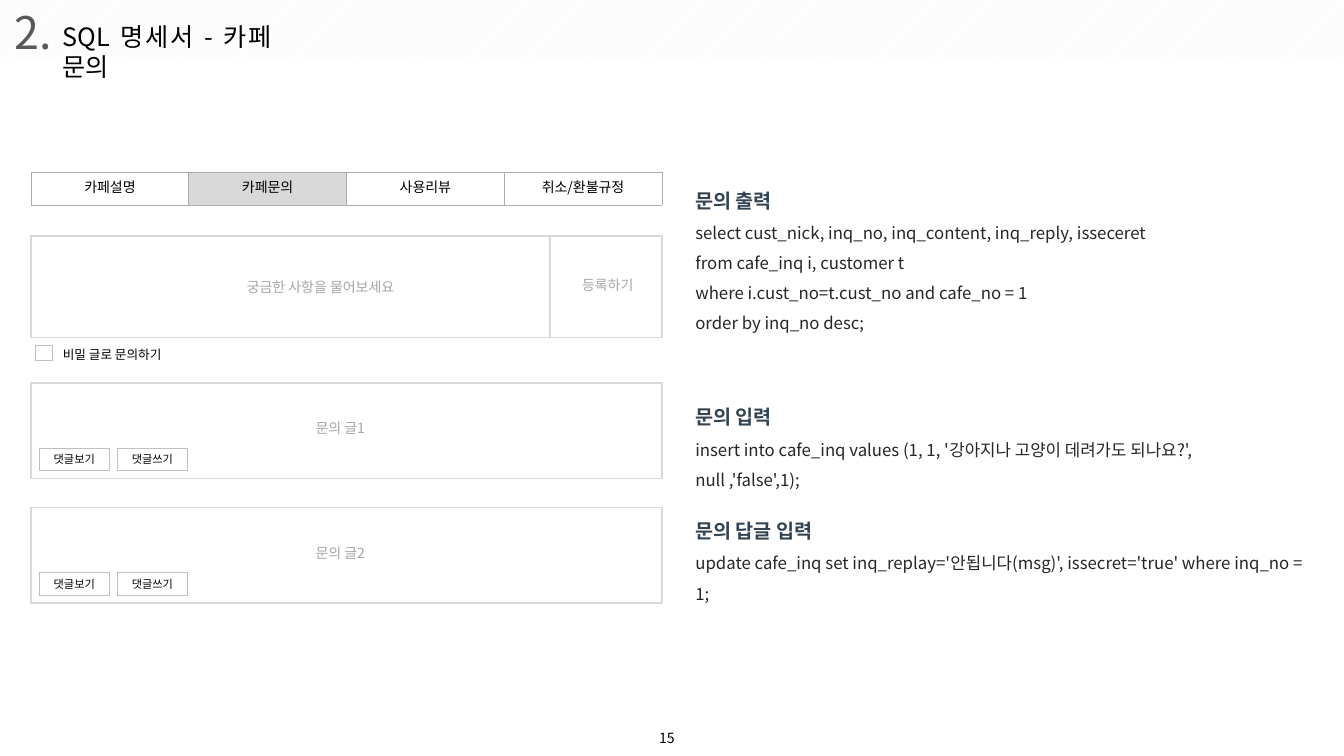
from lxml import etree
from pptx import Presentation
from pptx import util as u
from pptx.dml.color import RGBColor
from pptx.enum import dml, shapes, text
from pptx.oxml.ns import qn

FONT = "Noto Sans CJK KR"
COLORS = {
    "black": "000000", "number": "595959", "heading": "324353", "sql": "262626",
    "hint": "A6A6A6", "frame": "D9D9D9", "button": "BFBFBF", "table": "AFABAB",
    "active": "D9D9D9", "white": "FFFFFF", "stripe": "F2F2F2",
}
COLUMNS, ROWS = 160, 90
CELL = u.Inches(1 / 12)
LEFT, CENTER, RIGHT, JUSTIFY = (
    text.PP_ALIGN.LEFT, text.PP_ALIGN.CENTER, text.PP_ALIGN.RIGHT, text.PP_ALIGN.JUSTIFY)
TOP, MIDDLE = text.MSO_ANCHOR.TOP, text.MSO_ANCHOR.MIDDLE


def color(name):
    return RGBColor.from_string(COLORS[name])


def cells(*lengths):
    """Turn grid columns and rows into slide lengths."""
    return [u.Emu(round(length * CELL)) for length in lengths]


def write(frame, words, size=10, ink="black", bold=False, align=LEFT,
          anchor=TOP, leading=1.0, wrap=True):
    frame.word_wrap = wrap
    frame.auto_size = text.MSO_AUTO_SIZE.NONE
    frame.vertical_anchor = anchor
    for index, line in enumerate(words.split("\n")):
        paragraph = frame.paragraphs[0] if index == 0 else frame.add_paragraph()
        paragraph.alignment = align
        paragraph.line_spacing = u.Pt(round(size * 1.2 * leading, 1))
        run = paragraph.add_run()
        run.text = line
        run.font.size = u.Pt(size)
        run.font.bold = bold
        run.font.color.rgb = color(ink)
        run.font.name = FONT
        etree.SubElement(run.font._element, qn("a:ea"), typeface=FONT)


def label(slide, box, words, **style):
    write(slide.shapes.add_textbox(*cells(*box)).text_frame, words, **style)


def rectangle(slide, box, line=None, width=1.0):
    shape = slide.shapes.add_shape(shapes.MSO_SHAPE.RECTANGLE, *cells(*box))
    shape.shadow.inherit = False
    shape.fill.background()
    if line:
        shape.line.color.rgb = color(line)
        shape.line.width = u.Pt(width)
    else:
        shape.line.fill.background()
    return shape


def header(slide, box, number, words):
    x, y, width, height = box
    banner = rectangle(slide, box)
    banner.fill.patterned()
    banner.fill.pattern = dml.MSO_PATTERN.DARK_UPWARD_DIAGONAL
    banner.fill.fore_color.rgb = color("stripe")
    banner.fill.back_color.rgb = color("white")
    title = slide.shapes.title
    slide.shapes._spTree.append(title._element)
    title.left, title.top, title.width, title.height = cells(x + 6.25, y + 1.9, 27.3, 8)
    write(title.text_frame, words, size=18, align=JUSTIFY)
    label(slide, (x + 0.6, y, 8.4, 7.7), number, size=32, ink="number", wrap=False)


def tabs(slide, box, names, active):
    x, y, width, height = box
    grid = slide.shapes.add_table(1, len(names), *cells(*box)).table
    grid.first_row = grid.horz_banding = False
    for index, name in enumerate(names):
        grid.columns[index].width = cells(width / len(names))[0]
        cell = grid.cell(0, index)
        properties = cell._tc.get_or_add_tcPr()
        for side in ("lnL", "lnR", "lnT", "lnB"):
            border = etree.SubElement(properties, qn(f"a:{side}"), w=str(u.Pt(0.5)))
            fill = etree.SubElement(border, qn("a:solidFill"))
            etree.SubElement(fill, qn("a:srgbClr"), val=COLORS["table"])
        cell.fill.solid()
        cell.fill.fore_color.rgb = color("active" if name == active else "white")
        write(cell.text_frame, name, align=CENTER)
        cell.vertical_anchor = MIDDLE


def inquiry_form(slide, box):
    x, y, width, height = box
    submit = 13.3
    rectangle(slide, box, "frame")
    rectangle(slide, (x + width - submit, y, submit, height), "frame")
    label(slide, (x + 23.4, y + 4.5, 22.1, 3.2), "궁금한 사항을 물어보세요",
          ink="hint", align=CENTER, wrap=False)
    label(slide, (x + 64.1, y + 4.2, 9.1, 3.2), "등록하기",
          ink="hint", align=CENTER, wrap=False)
    rectangle(slide, (x + 0.5, y + height + 0.85, 2.05, 1.8), "button", 0.25)
    label(slide, (x + 2.6, y + height + 0.5, 16.5, 3), "비밀 글로 문의하기", size=9)


def post(slide, box, words):
    x, y, width, height = box
    rectangle(slide, box, "frame")
    label(slide, (x + 32.3, y + 3.8, 9, 3.2), words,
          ink="hint", align=CENTER, wrap=False)
    for index, action in enumerate(("댓글보기", "댓글쓰기")):
        button = rectangle(slide, (x + 1 + 9.3 * index, y + 7.75, 8.3, 2.65), "button", 0.25)
        write(button.text_frame, action, size=8, align=CENTER, anchor=MIDDLE)


def query(slide, box, heading, sql):
    x, y, width, height = box
    label(slide, (x, y + 3.35, width, height - 3.35), sql, size=12, ink="sql", leading=1.5)
    label(slide, (x, y, 52.4, 4.45), heading, size=14, ink="heading", bold=True,
          anchor=MIDDLE, leading=1.2)


def main():
    deck = Presentation()
    deck.slide_width, deck.slide_height = cells(COLUMNS, ROWS)
    slide = deck.slides.add_slide(deck.slide_layouts[5])
    left, width = 3.7, 75.1
    header(slide, (0, 0, COLUMNS, 6.85), "2.", "SQL 명세서 - 카페 문의")
    tabs(slide, (left, 20.5, width, 3.9),
         ("카페설명", "카페문의", "사용리뷰", "취소/환불규정"), "카페문의")
    inquiry_form(slide, (left, 28.1, width, 12.1))
    for index, words in enumerate(("문의 글1", "문의 글2")):
        post(slide, (left, 45.6 + 14.8 * index, width, 11.4), words)
    queries = (
        (21.35, 73, 18.8, "문의 출력",
         "select cust_nick, inq_no, inq_content, inq_reply, isseceret\n"
         "from cafe_inq i, customer t\n"
         "where i.cust_no=t.cust_no and cafe_no = 1\n"
         "order by inq_no desc;"),
        (47.15, 73, 11.5, "문의 입력",
         "insert into cafe_inq values (1, 1, '강아지나 고양이 데려가도 되나요?', "
         "null ,'false',1);"),
        (60.7, 76.5, 11.5, "문의 답글 입력",
         "update cafe_inq set inq_replay='안됩니다(msg)', issecret='true' "
         "where inq_no = 1;"),
    )
    for top, span, height, heading, sql in queries:
        query(slide, (81.6, top, span, height), heading, sql)
    label(slide, (75.7, 86.3, 5.8, 3.2), "15", align=RIGHT)
    deck.save("out.pptx")


if __name__ == "__main__":
    main()
